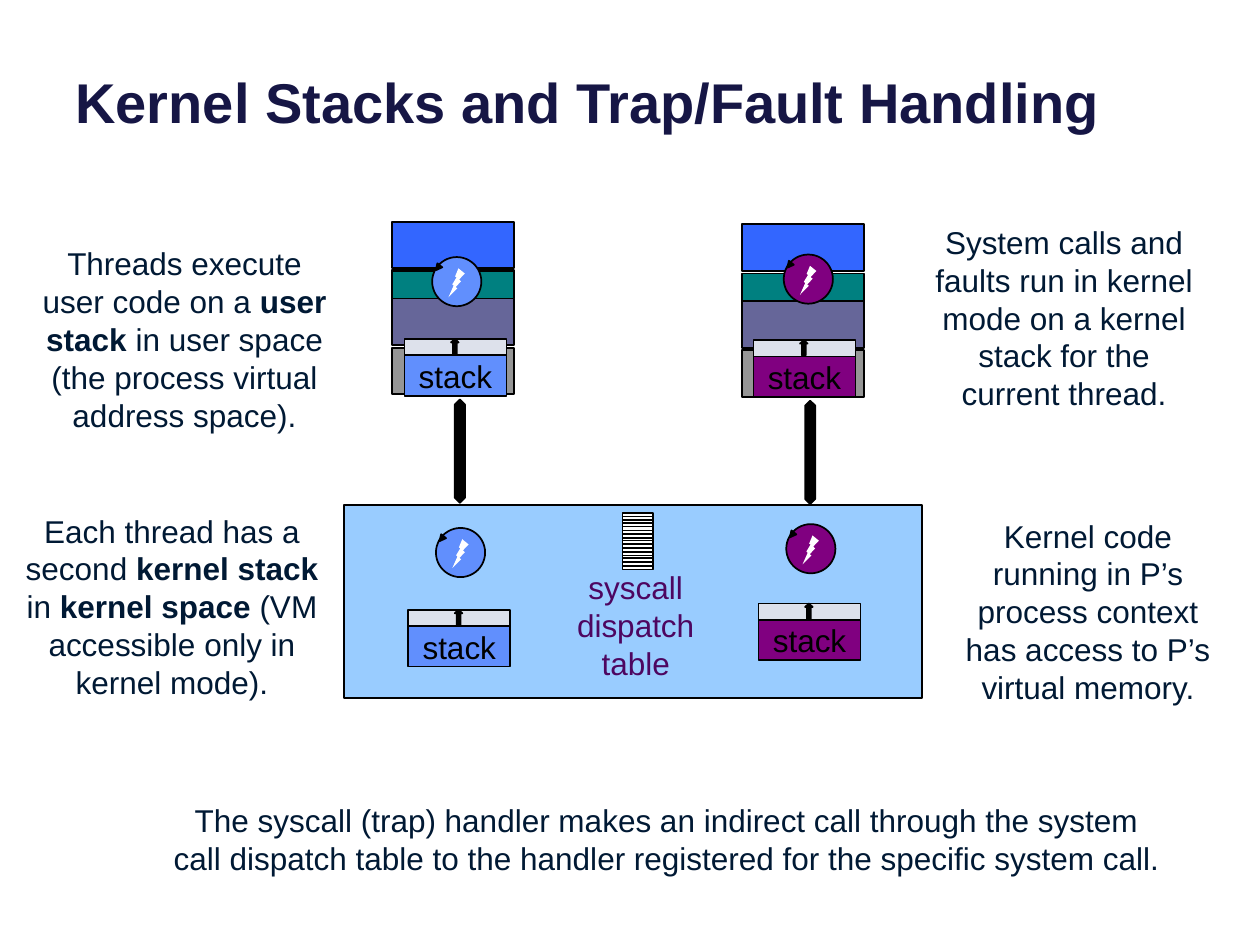
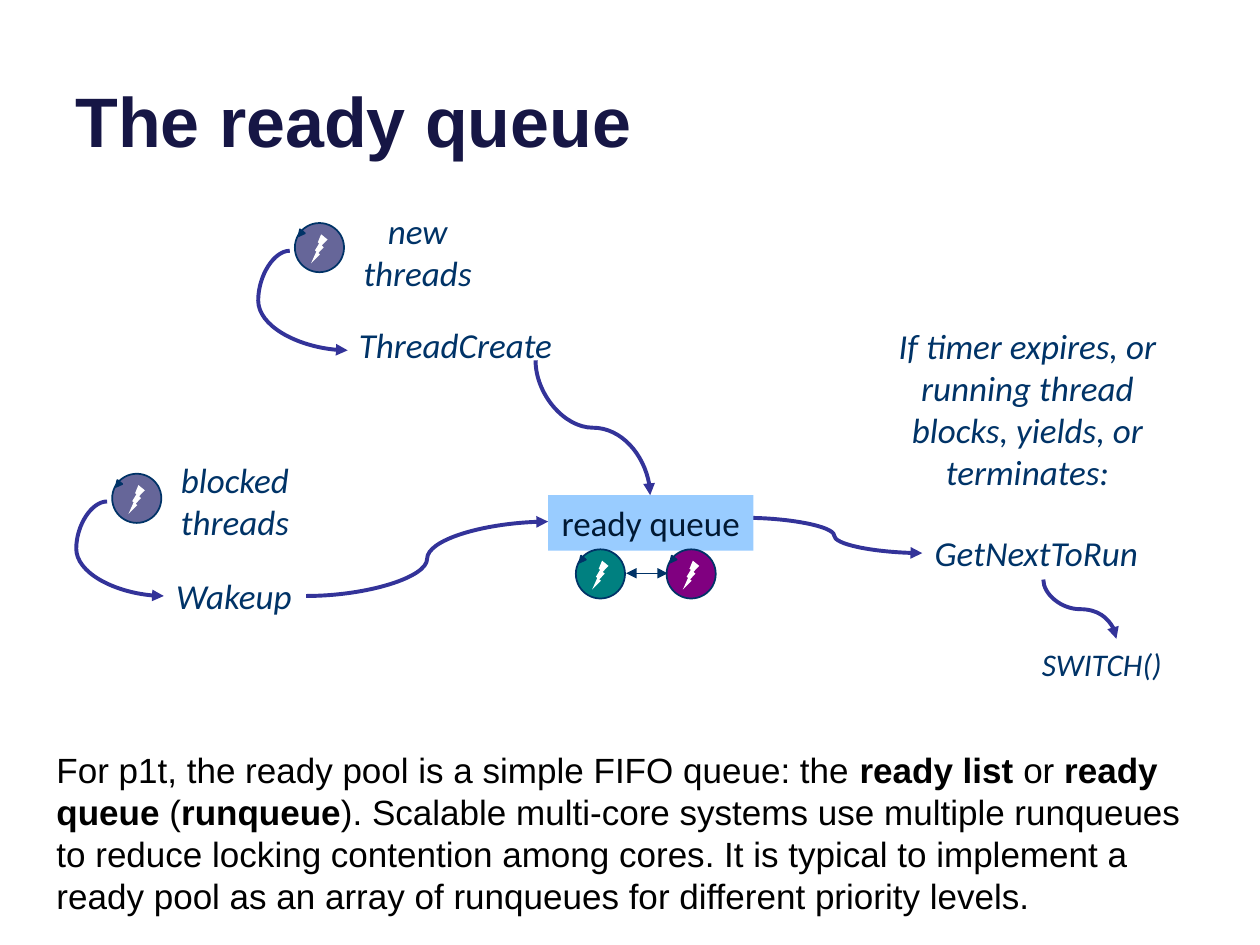
"""Builds two slides on kernel stacks and the ready queue."""
import lxml.etree
import pptx
import pptx.dml.color
import pptx.enum.shapes
import pptx.enum.text
import pptx.oxml.ns
import pptx.util

RGBColor = pptx.dml.color.RGBColor
SHAPE = pptx.enum.shapes.MSO_SHAPE
ALIGN = pptx.enum.text.PP_ALIGN
ANCHOR = pptx.enum.text.MSO_ANCHOR
qn = pptx.oxml.ns.qn

EMU_PER_PX = 9144
BLACK = RGBColor(0x00, 0x00, 0x00)
WHITE = RGBColor(0xFF, 0xFF, 0xFF)
TITLE_NAVY = RGBColor(0x16, 0x16, 0x45)
INK = RGBColor(0x00, 0x19, 0x34)
LABEL_BLUE = RGBColor(0x00, 0x33, 0x67)
FLOW_BLUE = RGBColor(0x33, 0x33, 0x99)
ROYAL = RGBColor(0x33, 0x66, 0xFF)
TEAL = RGBColor(0x00, 0x80, 0x80)
SLATE = RGBColor(0x66, 0x66, 0x99)
GRAY = RGBColor(0x96, 0x96, 0x96)
SKY = RGBColor(0x99, 0xCC, 0xFF)
CORNFLOWER = RGBColor(0x61, 0x8F, 0xFD)
PURPLE = RGBColor(0x80, 0x00, 0x80)
PLUM = RGBColor(0x4D, 0x06, 0x60)
PALE = RGBColor(0xDD, 0xE1, 0xEB)


def px(*lengths):
    """Turns px lengths into EMU."""
    return [length * EMU_PER_PX for length in lengths]


class Deck:
    """Holds the style and the current slide, and draws each kind of element."""

    def __init__(self):
        self.presentation = pptx.Presentation()
        self.presentation.slide_width, self.presentation.slide_height = px(1000, 750)
        self.shapes = None

    def start(self, title, top, size):
        """Adds a blank slide with its title."""
        layout = self.presentation.slide_layouts[6]
        self.shapes = self.presentation.slides.add_slide(layout).shapes
        self.text(f"*{title}*", 50, top, 900, 170, size=size, color=TITLE_NAVY,
                  align=ALIGN.LEFT, anchor=ANCHOR.BOTTOM)

    def fill_frame(self, frame, text, size, color, font="Arial", italic=False,
                   align=ALIGN.CENTER):
        """Fills a text frame; parts between asterisks are bold."""
        for number, line in enumerate(text.split("\n")):
            paragraph = frame.add_paragraph() if number else frame.paragraphs[0]
            paragraph.alignment = align
            for part, words in enumerate(line.split("*")):
                if not words:
                    continue
                run = paragraph.add_run()
                run.text = words
                run.font.name = font
                run.font.size = pptx.util.Pt(size)
                run.font.bold = part % 2 == 1
                run.font.italic = italic
                run.font.color.rgb = color

    def text(self, text, left, top, width, height, size=18, color=INK,
             anchor=ANCHOR.MIDDLE, wrap=True, **style):
        """Adds a text box."""
        frame = self.shapes.add_textbox(*px(left, top, width, height)).text_frame
        frame.word_wrap = wrap
        frame.vertical_anchor = anchor
        if not wrap:
            frame.auto_size = pptx.enum.text.MSO_AUTO_SIZE.SHAPE_TO_FIT_TEXT
        self.fill_frame(frame, text, size, color, **style)

    def label(self, text, left, top, width, height, size=20, **style):
        """Adds an italic label of the ready queue diagram."""
        self.text(text, left, top, width, height, size, LABEL_BLUE,
                  font="Calibri", italic=True, **style)

    def operation(self, name, left, top, width, height=44, size=20):
        """Adds the name of a thread operation on one line."""
        self.label(name, left, top, width, height, size, wrap=False,
                   anchor=ANCHOR.TOP, align=ALIGN.LEFT)

    def shape(self, kind, left, top, width, height, fill, line=BLACK, parent=None, adjust=()):
        """Adds a preset shape with a thin outline, or with none."""
        shape = (parent or self.shapes).add_shape(kind, *px(left, top, width, height))
        shape.shadow.inherit = False
        shape.fill.solid()
        shape.fill.fore_color.rgb = fill
        if line is None:
            shape.line.fill.background()
        else:
            shape.line.color.rgb = line
            shape.line.width = pptx.util.Pt(1)
        for index, value in enumerate(adjust):
            shape.adjustments[index] = value
        return shape

    def box(self, left, top, width, height, fill, parent=None):
        """Adds an outlined box."""
        return self.shape(SHAPE.FLOWCHART_PROCESS, left, top, width, height, fill, parent=parent)

    def caption(self, shape, text, size, color, font="Arial"):
        """Puts text in the middle of a shape."""
        shape.text_frame.word_wrap = False
        shape.text_frame.vertical_anchor = ANCHOR.MIDDLE
        self.fill_frame(shape.text_frame, text, size, color, font)

    def thread(self, left, top, fill, line=BLACK):
        """Adds a thread: a circling arrow round a bolt."""
        thread = self.shapes.add_group_shape().shapes
        self.shape(SHAPE.OVAL, left, top, 39, 39, fill, line, thread)
        bolt = self.shape(SHAPE.LIGHTNING_BOLT, left + 13, top + 9, 13, 23, WHITE, None, thread)
        bolt.element.spPr.xfrm.set("flipH", "1")
        tip = self.shape(SHAPE.ISOSCELES_TRIANGLE, left + 2, top + 6, 5, 5, line, line, thread)
        tip.rotation = 219

    def stack(self, left, top, fill):
        """Adds a stack that grows upward."""
        stack = self.shapes.add_group_shape().shapes
        self.box(left, top, 81, 13, PALE, stack)
        body = self.box(left, top + 13, 81, 32, fill, stack)
        self.caption(body, "stack", 18, BLACK)
        self.shape(SHAPE.UP_ARROW, left + 37, top, 6, 12, BLACK, parent=stack,
                   adjust=(0.5, 0.46))

    def address_space(self, left, top):
        """Adds the segments of a process address space."""
        for offset, height, fill in ((0, 37, ROYAL), (61, 37, SLATE),
                                     (100, 37, GRAY), (39, 22, TEAL)):
            self.box(left, top + offset, 97, height, fill)

    def flow(self, start, end, color=FLOW_BLUE, width=2.25, bend=50000,
             downward=False, both_ends=False):
        """Adds a curved arrow; a downward one leaves its start vertically."""
        (x1, y1), (x2, y2) = px(*start), px(*end)
        if downward:
            x, y, half_w, half_h = (x1 + x2) // 2, (y1 + y2) // 2, (y2 - y1) // 2, (x2 - x1) // 2
            x1, y1, x2, y2 = x + half_w, y - half_h, x - half_w, y + half_h
        arrow = self.shapes.add_connector(
            pptx.enum.shapes.MSO_CONNECTOR.CURVE, x1, y1, x2, y2)
        arrow.line.color.rgb = color
        arrow.line.width = pptx.util.Pt(width)
        properties = arrow.element.spPr
        if downward:
            properties.xfrm.set("rot", "16200000")
        adjustments = properties.find(qn("a:prstGeom")).find(qn("a:avLst"))
        lxml.etree.SubElement(adjustments, qn("a:gd"), name="adj1", fmla=f"val {bend}")
        outline = properties.find(qn("a:ln"))
        for end_name in ("a:headEnd", "a:tailEnd") if both_ends else ("a:tailEnd",):
            lxml.etree.SubElement(outline, qn(end_name), type="triangle")
        lxml.etree.SubElement(properties, qn("a:effectLst"))


def kernel_stacks(deck):
    """Draws the slide on kernel stacks."""
    deck.start("Kernel Stacks and Trap/Fault Handling", -58, 32)
    deck.box(311, 214, 97, 22, TEAL)
    deck.address_space(311, 176)
    deck.address_space(589, 178)
    deck.box(273, 401, 459, 153, SKY)
    for left, top in ((361, 317), (639, 318)):
        deck.shape(SHAPE.UP_DOWN_ARROW, left, top, 8, 82, BLACK, adjust=(0.5, 2))
    for left, top, color in ((624, 416, PURPLE), (346, 419, CORNFLOWER),
                             (343, 204, CORNFLOWER), (622, 202, PURPLE)):
        deck.thread(left, top, color)
    for left, top, color in ((321, 269, CORNFLOWER), (324, 484, CORNFLOWER),
                             (598, 270, PURPLE), (602, 479, PURPLE)):
        deck.stack(left, top, color)
    dispatch_table = deck.shapes.add_group_shape().shapes
    for entry in range(16):
        deck.box(494, 407 + round(entry * 2.8), 24, 3, WHITE, dispatch_table)
    deck.text("syscall dispatch table", 437, 446, 135, 100, color=PLUM)
    for remark, left, top, width, height in (
        ("Threads execute user code on a *user stack* in user space "
         "(the process virtual address space).", 20, 188, 253, 162),
        ("Each thread has a second *kernel stack* in *kernel space* "
         "(VM accessible only in kernel mode).", 8, 400, 257, 162),
        ("System calls and faults run in kernel mode on a kernel stack "
         "for the current thread.", 732, 171, 225, 162),
        ("Kernel code running in P’s process context has access to "
         "P’s virtual memory.", 743, 404, 241, 162),
        ("The syscall (trap) handler makes an indirect call through the system "
         "call dispatch table to the handler registered for the specific system call.",
         125, 630, 808, 71),
    ):
        deck.text(remark, left, top, width, height)


def ready_queue(deck):
    """Draws the slide on the ready queue."""
    deck.start("The ready queue", -37, 40)
    deck.operation("Wakeup", 130, 451, 112)
    deck.operation("GetNextToRun", 732, 417, 193)
    deck.operation("SWITCH()", 817, 507, 138, 40, 18)
    deck.operation("ThreadCreate", 275, 252, 175)
    deck.flow((243, 473), (435, 414))
    deck.flow((592, 411), (732, 439))
    deck.flow((828, 460), (886, 507), downward=True)
    queue = deck.shape(SHAPE.RECTANGLE, 435, 393, 163, 44, SKY, None)
    deck.caption(queue, "ready queue", 20, INK, "Calibri")
    for left, top, color in ((89, 376, SLATE), (234, 177, SLATE),
                             (457, 436, TEAL), (529, 436, PURPLE)):
        deck.thread(left, top, color, LABEL_BLUE)
    deck.flow((497, 455), (530, 455), LABEL_BLUE, 0.75, both_ends=True)
    deck.label("blocked\nthreads", 85, 359, 203, 77)
    deck.label("new\nthreads", 230, 161, 203, 77)
    deck.label("If timer expires, or running thread blocks, yields, or terminates:",
               681, 252, 269, 145)
    deck.flow((85, 398), (130, 473), bend=-54500)
    deck.flow((230, 199), (276, 278), bend=-54500)
    deck.flow((425, 286), (516, 393), downward=True)
    deck.text("For p1t, the ready pool is a simple FIFO queue: the *ready list* or "
              "*ready queue* (*runqueue*). Scalable multi-core systems use multiple "
              "runqueues to reduce locking contention among cores. It is typical to "
              "implement a ready pool as an array of runqueues for different priority "
              "levels.", 35, 588, 937, 145, 20, BLACK, align=ALIGN.LEFT)


def main():
    """Builds and saves the slides."""
    deck = Deck()
    kernel_stacks(deck)
    ready_queue(deck)
    deck.presentation.save("out.pptx")


if __name__ == "__main__":
    main()
